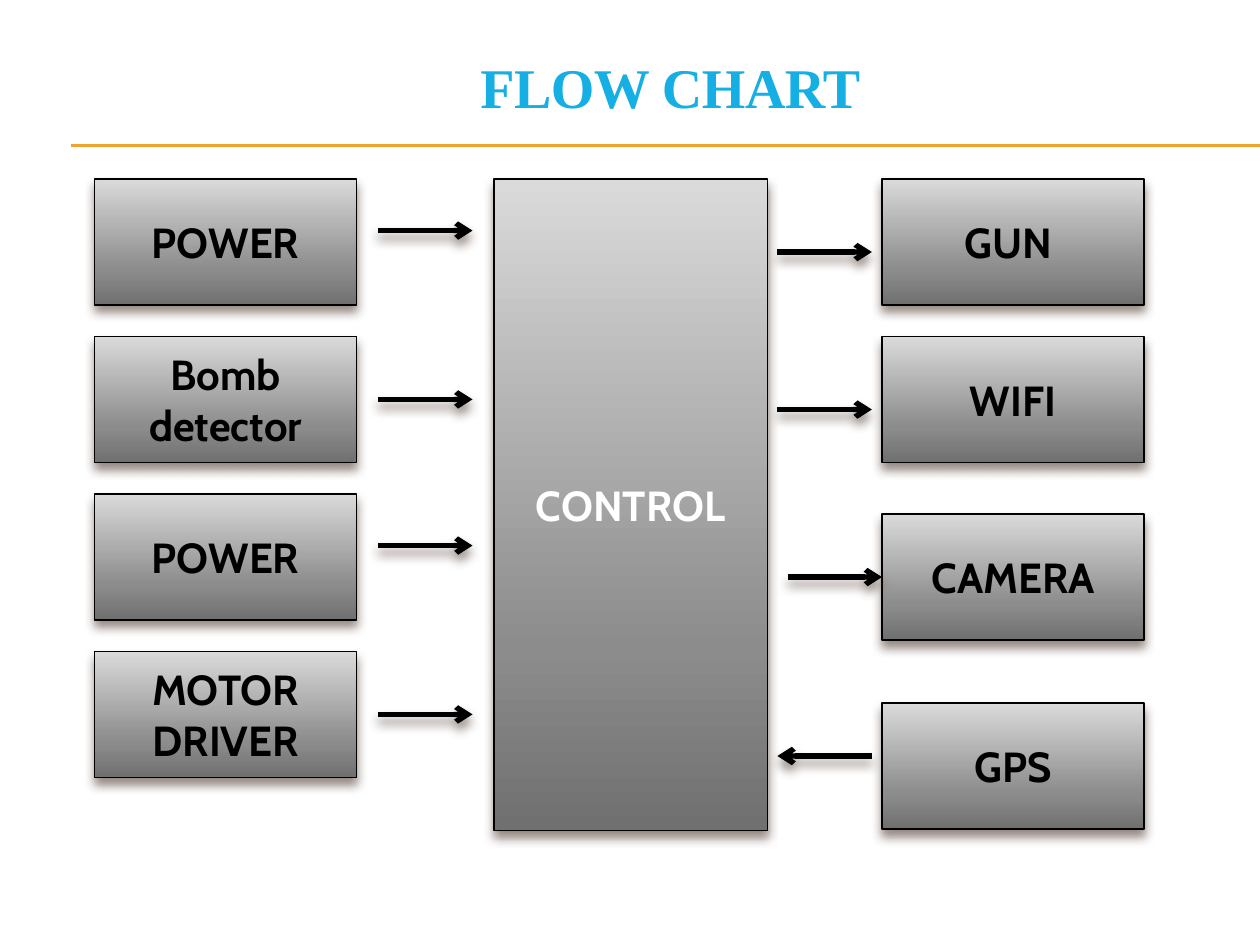
import pptx
import pptx.util
import pptx.oxml
import pptx.dml.color
import pptx.enum.shapes
import pptx.enum.text
from pptx.util import Inches

# Content: label, top of its box, height of its arrow, arrow start, arrow end
TITLE = "FLOW CHART "
CONTROLLER = "CONTROL"
INPUTS = [
    ("POWER", 1.42, 1.83, 3, 3.75),
    ("Bomb detector", 2.67, 3.17, 3, 3.75),
    ("POWER", 3.92, 4.33, 3, 3.75),
    ("MOTOR DRIVER", 5.17, 5.67, 3, 3.75),
]
OUTPUTS = [
    ("GUN ", 1.42, 2, 6.17, 6.92),
    ("WIFI", 2.67, 3.25, 6.17, 6.92),
    ("CAMERA", 4.08, 4.58, 6.25, 7),
    ("GPS", 5.58, 6, 6.92, 6.17),
]
COLUMNS = [(0.75, INPUTS), (7, OUTPUTS)]
BOX_WIDTH, BOX_HEIGHT = 2.08, 1

# Style
GRADIENT = [(0, "DADADA"), (72, "8C8C8C"), (100, "707070")]
BLACK, WHITE, BLUE, GOLD = "000000", "FFFFFF", "16AFE4", "F0A22E"
SHADOW = "4E3B30"
NAMESPACE = 'xmlns:a="http://schemas.openxmlformats.org/drawingml/2006/main"'


def color(value):
    return pptx.dml.color.RGBColor.from_string(value)


def add_xml(parent, xml):
    tag, rest = xml.split(">", 1)
    slash = "/" if tag.endswith("/") else ""
    parent.append(pptx.oxml.parse_xml(f"{tag.rstrip('/')} {NAMESPACE}{slash}>{rest}"))


def add_shadow(shape):
    add_xml(shape._element.spPr,
            '<a:effectLst><a:outerShdw blurRad="76200" dist="50800" dir="5400000" '
            f'rotWithShape="0"><a:srgbClr val="{SHADOW}"><a:alpha val="60000"/>'
            '</a:srgbClr></a:outerShdw></a:effectLst>')


def format_text(frame, font_name, size, text_color):
    para = frame.paragraphs[0]
    para.alignment = pptx.enum.text.PP_ALIGN.CENTER
    span = para.runs[0]
    span.font.name = font_name
    span.font.size = pptx.util.Pt(size)
    span.font.bold = True
    span.font.color.rgb = color(text_color)
    return span


def add_box(page, label, left, top, width, height, text_color=BLACK):
    box = page.shapes.add_shape(pptx.enum.shapes.MSO_SHAPE.RECTANGLE, Inches(left),
                                Inches(top), Inches(width), Inches(height))
    stops = "".join(f'<a:gs pos="{place * 1000}"><a:srgbClr val="{value}"/></a:gs>'
                    for place, value in GRADIENT)
    add_xml(box._element.spPr,
            f'<a:gradFill><a:gsLst>{stops}</a:gsLst><a:lin ang="5400000"/></a:gradFill>')
    box.line.color.rgb = color(BLACK)
    box.line.width = pptx.util.Pt(0.79)
    add_shadow(box)
    box.text_frame.text = label
    box.text_frame.word_wrap = True
    box.text_frame.vertical_anchor = pptx.enum.text.MSO_ANCHOR.MIDDLE
    format_text(box.text_frame, "Cabin", 24, text_color)


def add_line(page, start, end, height, line_color, width):
    line = page.shapes.add_connector(pptx.enum.shapes.MSO_CONNECTOR.STRAIGHT, Inches(start),
                                     Inches(height), Inches(end), Inches(height))
    line.line.color.rgb = color(line_color)
    line.line.width = pptx.util.Pt(width)
    return line


def add_arrow(page, start, end, height):
    arrow = add_line(page, start, end, height, BLACK, 3)
    add_xml(arrow.line._get_or_add_ln(), '<a:tailEnd type="arrow"/>')
    add_shadow(arrow)


def main():
    deck = pptx.Presentation()
    deck.slide_width, deck.slide_height = Inches(10), Inches(7.5)
    page = deck.slides.add_slide(deck.slide_layouts[5])

    # Title and the double rule below it
    title = page.shapes.title
    title.left, title.top = Inches(1.08), Inches(0.42)
    title.width, title.height = Inches(8.58), Inches(0.54)
    frame = title.text_frame
    frame.text = TITLE
    frame.margin_left = frame.margin_top = frame.margin_right = frame.margin_bottom = 0
    frame.vertical_anchor = pptx.enum.text.MSO_ANCHOR.TOP
    frame.auto_size = pptx.enum.text.MSO_AUTO_SIZE.NONE
    span = format_text(frame, "Times New Roman", 32, BLUE)
    span.font._element.set("spc", "-30")
    for height in (1.15, 1.16):
        rule = add_line(page, 0.56, 10, height, GOLD, 0.75)
        add_xml(rule._element.spPr, "<a:effectLst/>")

    # Controller in the middle, inputs and outputs on its sides
    add_box(page, CONTROLLER, 3.92, 1.42, 2.17, 5.17, WHITE)
    for left, rows in COLUMNS:
        for label, top, height, start, end in rows:
            add_box(page, label, left, top, BOX_WIDTH, BOX_HEIGHT)
            add_arrow(page, start, end, height)

    deck.save("out.pptx")


if __name__ == "__main__":
    main()
